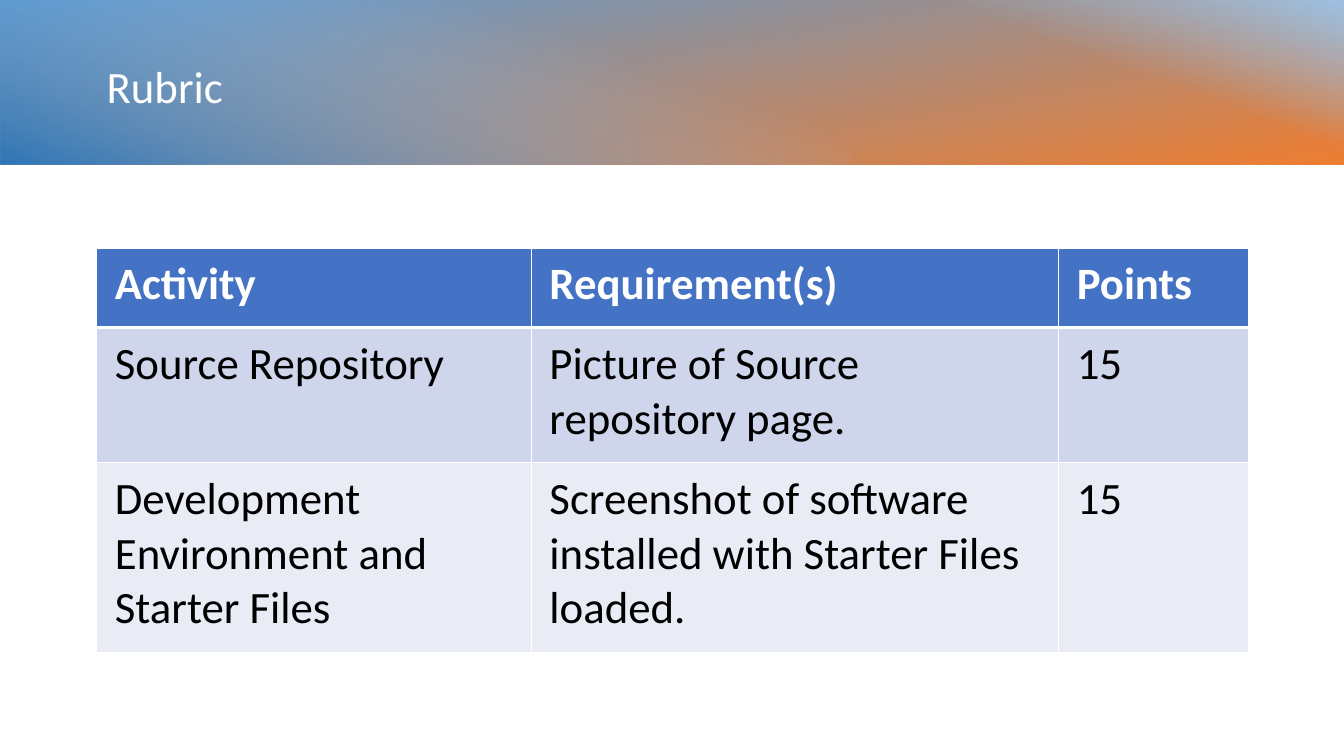
from pptx import Presentation
from pptx.dml.color import RGBColor
from pptx.enum.shapes import MSO_SHAPE
from pptx.enum.text import MSO_ANCHOR
from pptx.oxml.ns import qn
from pptx.oxml.xmlchemy import OxmlElement
from pptx.util import Pt

RECTANGLE = MSO_SHAPE.RECTANGLE
MIDDLE, TOP = MSO_ANCHOR.MIDDLE, MSO_ANCHOR.TOP
EMU_PER_PX = 9144  # 100 px to the inch

COLORS = {
    "white": "FFFFFF", "black": "000000",
    "blue": "5B9BD5", "orange": "ED7D31", "light_blue": "9DC3E6", "deep_blue": "2E75B6",
    "header": "4472C4", "band_dark": "CFD5EA", "band_light": "E9EBF5",
}

RUBRIC = [
    ["Activity", "Requirement(s)", "Points"],
    ["Source Repository", "Picture of Source repository page.", "15"],
    ["Development Environment and Starter Files",
     "Screenshot of software installed with Starter Files loaded.", "15"],
]


def px(length):
    return int(length * EMU_PER_PX)


def rgb(name):
    return RGBColor.from_string(COLORS[name])


def write(frame, text, font="Calibri", size=32, color="black", bold=False, spacing=1.0):
    paragraph = frame.paragraphs[0]
    paragraph.line_spacing = spacing
    run = paragraph.add_run()
    run.text = text
    run.font.name, run.font.size, run.font.bold = font, Pt(size), bold
    run.font.color.rgb = rgb(color)


class RubricSlide:
    def __init__(self, deck):
        self.slide = deck.slides.add_slide(deck.slide_layouts[6])
        self.banner = self.slide.shapes.add_group_shape()

    def gradient_band(self, box, rotation, angle, stops, fade_in=False):
        """Angle is clockwise, before the band itself is rotated."""
        band = self.banner.shapes.add_shape(RECTANGLE, *map(px, box))
        band.rotation = rotation
        band.shadow.inherit = False
        band.line.fill.background()
        band.fill.gradient()
        band.fill.gradient_angle = 360 - angle
        for stop, (position, color) in zip(band.fill.gradient_stops, stops):
            stop.position = position
            stop.color.rgb = rgb(color)
        if fade_in:
            first_color = next(band._element.spPr.iter(qn("a:srgbClr")))
            alpha = OxmlElement("a:alpha")
            alpha.set("val", "0")
            first_color.append(alpha)

    def title(self, box, text):
        frame = self.slide.shapes.add_textbox(*map(px, box)).text_frame
        frame.word_wrap = True
        frame.vertical_anchor = MIDDLE
        write(frame, text, color="white", spacing=0.9)

    def cell_borders(self, cell, **widths):
        properties = cell._tc.get_or_add_tcPr()
        for index, (side, width) in enumerate(widths.items()):
            line = OxmlElement(f"a:ln{side}")
            line.set("w", str(Pt(width)))
            fill = OxmlElement("a:solidFill")
            color = OxmlElement("a:srgbClr")
            color.set("val", COLORS["white"])
            fill.append(color)
            line.append(fill)
            properties.insert(index, line)

    def table(self, left, top, widths, heights, rows):
        box = (left, top, sum(widths), sum(heights))
        table = self.slide.shapes.add_table(len(rows), len(widths), *map(px, box)).table
        for column, width in zip(table.columns, widths):
            column.width = px(width)
        for row, height in zip(table.rows, heights):
            row.height = px(height)
        fills = ["header", "band_dark", "band_light"]
        for r, texts in enumerate(rows):
            is_header = r == 0
            for c, text in enumerate(texts):
                cell = table.cell(r, c)
                cell.fill.solid()
                cell.fill.fore_color.rgb = rgb(fills[r])
                cell.margin_left = cell.margin_right = px(18)
                cell.margin_top = cell.margin_bottom = px(9)
                cell.vertical_anchor = TOP
                write(cell.text_frame, text, bold=is_header,
                      color="white" if is_header else "black")
                self.cell_borders(cell, L=1, R=1, T=3 if r == 1 else 1,
                                  B=3 if is_header else 1)


def main():
    deck = Presentation()
    deck.slide_width, deck.slide_height = px(1333), px(750)
    page = RubricSlide(deck)

    # Banner: a diagonal blend with two fading corners
    page.gradient_band((584, -587, 166, 1334), 270, 170, [(0, "blue"), (1, "orange")])
    page.gradient_band((975, -197, 165, 554), 270, 20,
                       [(0.59, "light_blue"), (1, "light_blue")], fade_in=True)
    page.gradient_band((339, -342, 166, 844), 90, 20,
                       [(0.29, "light_blue"), (1, "deep_blue")], fade_in=True)
    page.title((96, 33, 1146, 110), "Rubric")

    # Grading table
    page.table(96, 246, [431, 523, 188], [79, 134, 188], RUBRIC)

    deck.save("out.pptx")


if __name__ == "__main__":
    main()
